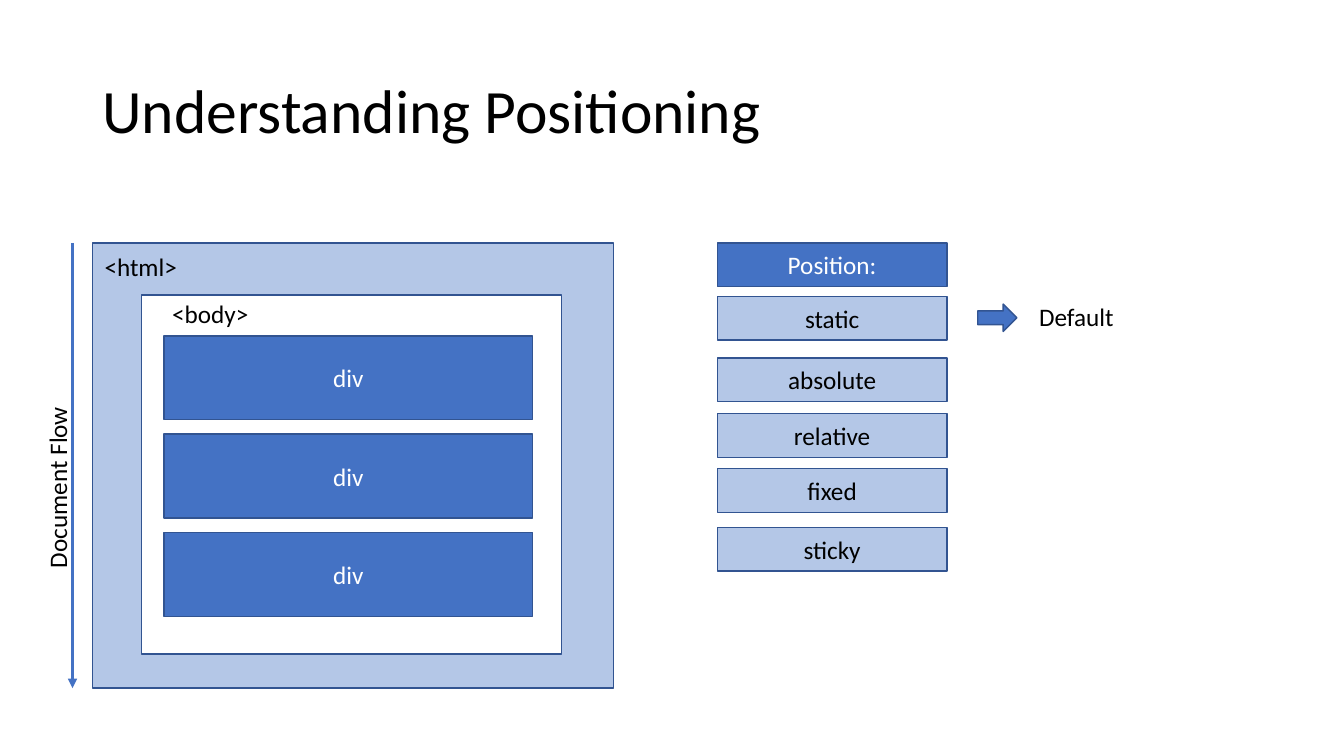
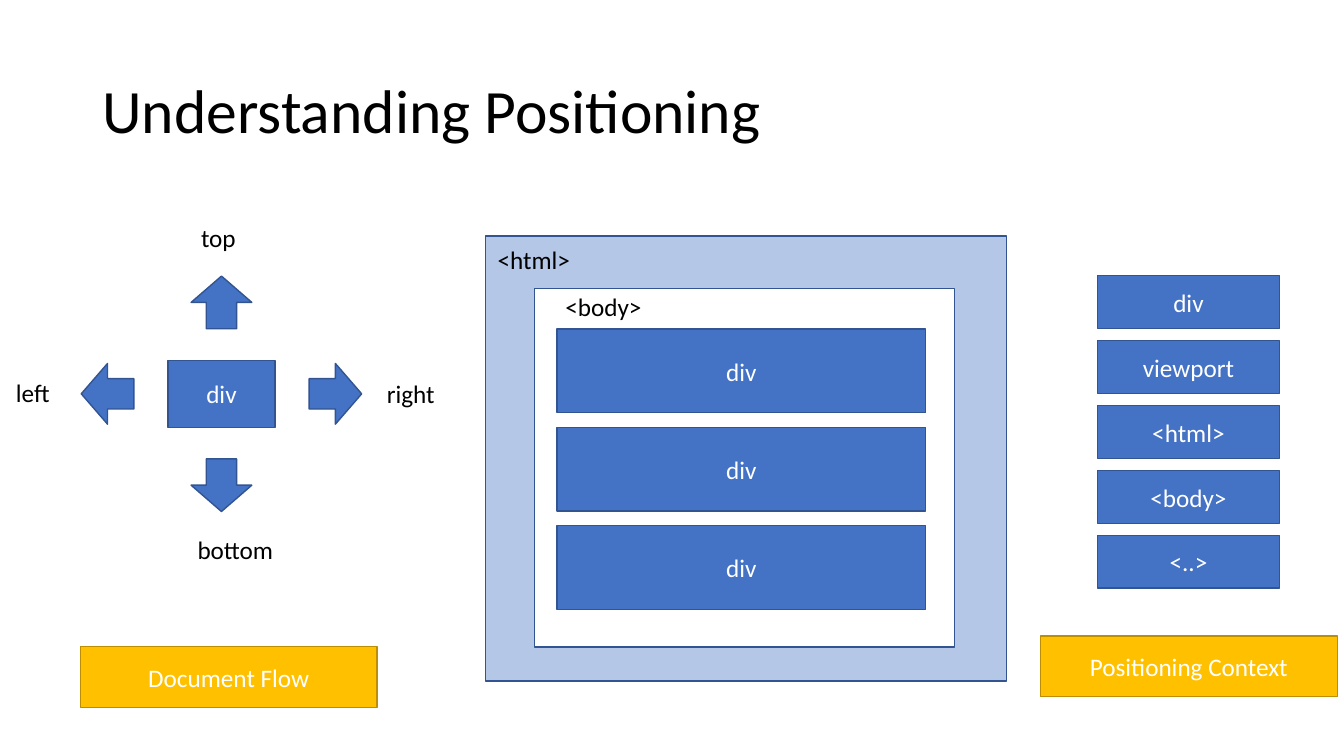
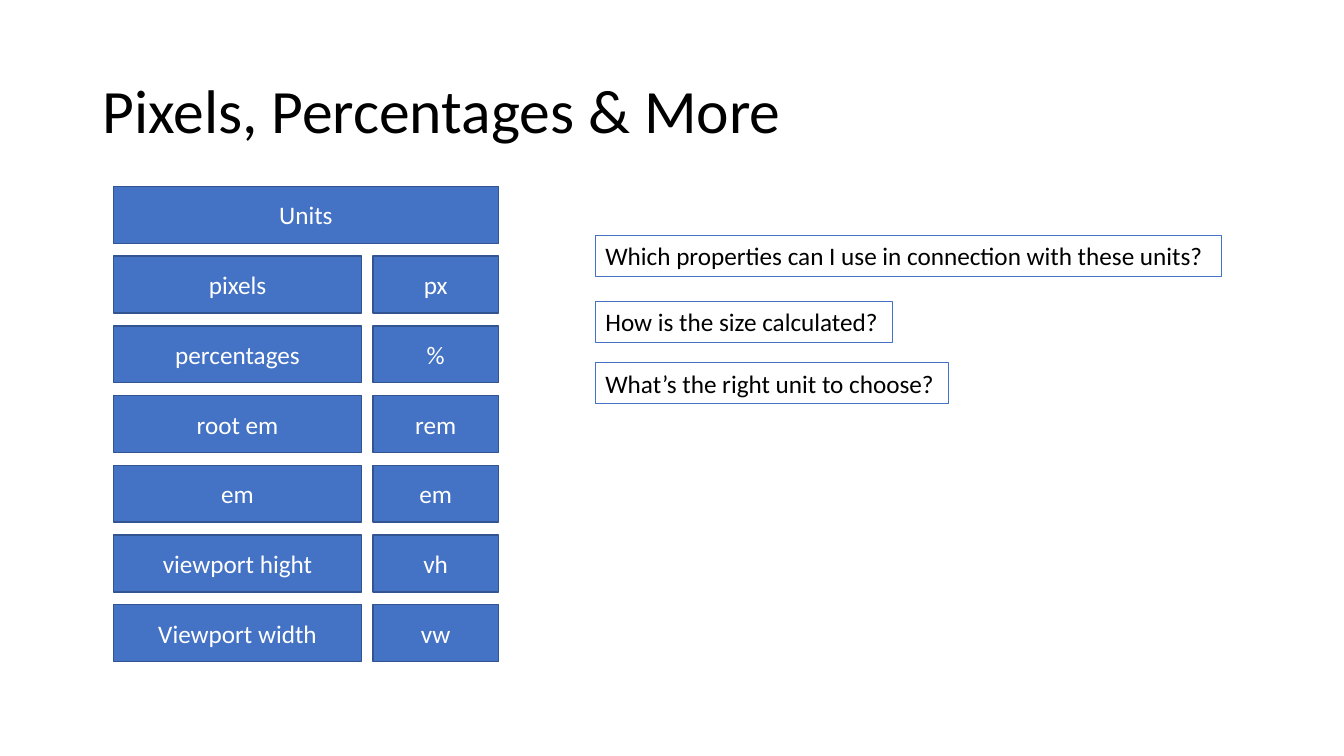
"""Build three slides on CSS positioning and units."""
from lxml import etree
from pptx import Presentation
from pptx.dml.color import RGBColor
from pptx.enum import shapes, text
from pptx.oxml import ns
from pptx.util import Pt

BLUE = RGBColor(0x44, 0x72, 0xC4)
PALE_BLUE = RGBColor(0xB4, 0xC7, 0xE7)
DARK_BLUE = RGBColor(0x32, 0x54, 0x91)
GOLD = RGBColor(0xFF, 0xC0, 0x00)
DARK_GOLD = RGBColor(0xBD, 0x8E, 0x00)
WHITE = RGBColor(0xFF, 0xFF, 0xFF)
BLACK = RGBColor(0x00, 0x00, 0x00)
FONT = "Calibri"
LABEL_HEIGHT = 29.1
RECTANGLE = shapes.MSO_SHAPE.RECTANGLE

POSITIONING_TITLE = "Understanding Positioning"
UNITS_TITLE = "Pixels, Percentages & More"
DIVS = ["div", "div", "div"]
POSITION_VALUES = [("static", 211.7), ("absolute", 255.7), ("relative", 295.4),
                   ("fixed", 334.8), ("sticky", 376.7)]
DIRECTIONS = [("bottom", 0, 1, 0, (134, 378, 70)), ("left", -1, 0, 90, (4.3, 265.8, 39.6)),
              ("top", 0, -1, 180, (136.5, 155.3, 39.6)), ("right", 1, 0, 270, (269.2, 266.8, 49))]
CONTEXTS = ["div", "viewport", "<html>", "<body>", "<..>"]
BANNERS = [("Document Flow", 57.4, 462), ("Positioning Context", 743.2, 454.3)]
UNITS = [("pixels", "px"), ("percentages", "%"), ("root em", "rem"), ("em", "em"),
         ("viewport hight", "vh"), ("Viewport width", "vw")]
QUESTIONS = [("Which properties can I use in connection with these units?", 168.3, 447.1),
             ("How is the size calculated?", 215.4, 212),
             ("What’s the right unit to choose?", 259.2, 252.2)]


def write(shape, words, size, color, alignment):
    shape.text_frame.text = words
    paragraph = shape.text_frame.paragraphs[0]
    paragraph.alignment = alignment
    paragraph.font.name = FONT
    paragraph.font.size = Pt(size)
    paragraph.font.color.rgb = color
    return paragraph


def add_slide(presentation, layout, title):
    slide = presentation.slides.add_slide(layout)
    paragraph = write(slide.shapes.title, title, 44, BLACK, text.PP_ALIGN.LEFT)
    paragraph.line_spacing = 0.9
    return slide


def add_box(slide, left, top, width, height, words="", fill=BLUE, color=WHITE,
            line=DARK_BLUE, kind=RECTANGLE):
    shape = slide.shapes.add_shape(kind, Pt(left), Pt(top), Pt(width), Pt(height))
    shape.shadow.inherit = False
    shape.fill.solid()
    shape.fill.fore_color.rgb = fill
    shape.line.color.rgb = line
    shape.line.width = Pt(1)
    if words:
        write(shape, words, 18, color, text.PP_ALIGN.CENTER)
    return shape


def add_label(slide, words, left, top, width):
    label = slide.shapes.add_textbox(Pt(left), Pt(top), Pt(width), Pt(LABEL_HEIGHT))
    label.text_frame.word_wrap = False
    label.text_frame.auto_size = text.MSO_AUTO_SIZE.SHAPE_TO_FIT_TEXT
    write(label, words, 18, BLACK, text.PP_ALIGN.LEFT)
    return label


def add_document(slide, left, top):
    add_box(slide, left, top, 372, 318, fill=PALE_BLUE)
    add_box(slide, left + 35, top + 37.3, 300, 256.3, fill=WHITE)
    for row, words in enumerate(DIVS):
        add_box(slide, left + 51, top + 66.4 + row * 70.2, 263.4, 59.9, words)
    add_label(slide, "<html>", left + 1.5, top + 2.2, 67)
    add_label(slide, "<body>", left + 49.8, top + 36, 70)


def add_flow_arrow(slide, left, top, bottom):
    arrow = slide.shapes.add_connector(shapes.MSO_CONNECTOR.STRAIGHT,
                                       Pt(left), Pt(top), Pt(left), Pt(bottom))
    arrow.line.color.rgb = BLUE
    arrow.line.width = Pt(2.25)
    etree.SubElement(arrow.line._get_or_add_ln(), ns.qn("a:tailEnd"), type="triangle")
    etree.SubElement(arrow._element.spPr, ns.qn("a:effectLst"))


def build_position_values(slide):
    add_document(slide, 66.1, 173.5)
    add_flow_arrow(slide, 51.8, 173.5, 491.5)
    add_label(slide, "Document Flow", -24.5, 332.8, 131).rotation = 270
    left, width, height = 512.4, 164, 31.2
    add_box(slide, left, 173.5, width, height, "Position:")
    for words, top in POSITION_VALUES:
        add_box(slide, left, top, width, height, words, PALE_BLUE, BLACK)
    add_box(slide, 698.4, 217.2, 28, 19.6, kind=shapes.MSO_SHAPE.RIGHT_ARROW)
    add_label(slide, "Default", 735.1, 211.7, 68.4)


def build_positioning_context(slide):
    add_document(slide, 346.9, 168.6)
    center_x, center_y = 158.2, 281.3
    add_box(slide, center_x - 38.2, center_y - 24, 76.4, 48, "div")
    width, height = 43.4, 37.6
    for words, across, down, rotation, place in DIRECTIONS:
        arrow = add_box(slide, center_x + across * 81.4 - width / 2,
                        center_y + down * 65.3 - height / 2, width, height,
                        kind=shapes.MSO_SHAPE.DOWN_ARROW)
        arrow.rotation = rotation
        add_label(slide, words, *place)
    for words, left, top in BANNERS:
        add_box(slide, left, top, 212, 43.4, words, GOLD, line=DARK_GOLD)
    for row, words in enumerate(CONTEXTS):
        add_box(slide, 784, 197 + row * 46.4, 129.8, 37.6, words)


def build_units(slide):
    left, top, height, pitch = 81, 133.2, 40.6, 49.8
    name_width, symbol_width, gap = 177.4, 89.6, 8
    add_box(slide, left, top, name_width + gap + symbol_width, height, "Units")
    for row, (name, symbol) in enumerate(UNITS, start=1):
        row_top = top + row * pitch
        add_box(slide, left, row_top, name_width, height, name)
        add_box(slide, left + name_width + gap, row_top, symbol_width, height, symbol)
    for words, question_top, width in QUESTIONS:
        question = add_label(slide, words, 425.3, question_top, width)
        question.line.color.rgb = BLUE
        question.line.width = Pt(0.75)


def main():
    presentation = Presentation()
    presentation.slide_width, presentation.slide_height = Pt(960), Pt(540)
    layout = presentation.slide_layouts[5]
    title = layout.placeholders[0]
    title.left, title.top, title.width, title.height = Pt(66), Pt(28.75), Pt(828), Pt(104.4)
    title.text_frame.vertical_anchor = text.MSO_ANCHOR.MIDDLE
    title.text_frame.auto_size = text.MSO_AUTO_SIZE.NONE
    for words, build in [(POSITIONING_TITLE, build_position_values),
                         (POSITIONING_TITLE, build_positioning_context),
                         (UNITS_TITLE, build_units)]:
        build(add_slide(presentation, layout, words))
    presentation.save("out.pptx")


if __name__ == "__main__":
    main()
